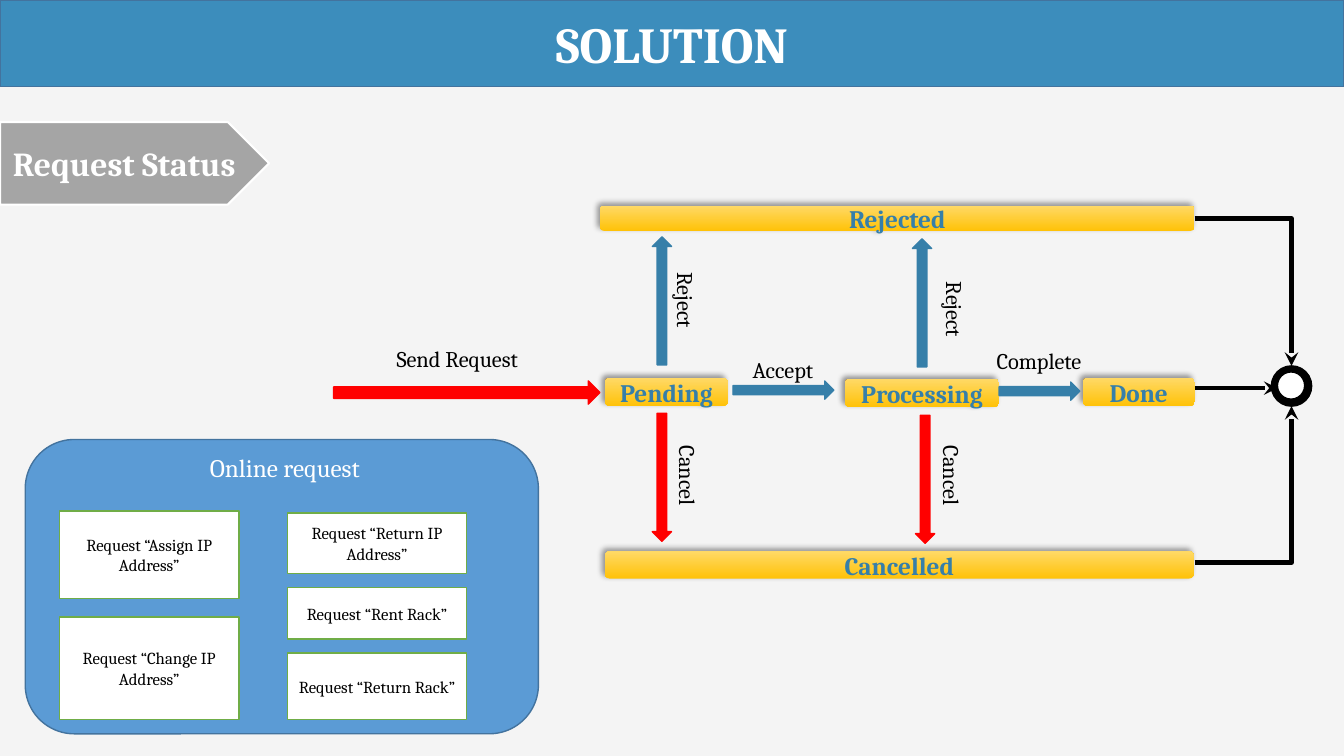
from dataclasses import dataclass
from lxml.etree import SubElement
from pptx import Presentation
from pptx.dml.color import RGBColor
from pptx.enum.shapes import MSO_CONNECTOR, MSO_SHAPE
from pptx.enum.text import MSO_ANCHOR, PP_ALIGN
from pptx.oxml import parse_xml
from pptx.oxml.ns import nsdecls, qn
from pptx.util import Inches, Pt


@dataclass(frozen=True)
class Theme:
    font: str = "Cambria"
    background: str = "F4F4F4"
    banner: str = "3C8DBC"
    outline: str = "43739E"
    panel: str = "5B9BD5"
    card_line: str = "70AD47"
    tag: str = "A5A5A5"
    blue: str = "367FA9"
    red: str = "FF0000"
    gold: str = "FFC208"
    light_gold: str = "FFD966"
    white: str = "FFFFFF"
    black: str = "000000"
    title_size: int = 36
    tag_size: int = 24
    heading_size: int = 18
    label_size: int = 16
    card_size: int = 12


theme = Theme()


def write_text(shape, text, size, color, bold=False, anchor=MSO_ANCHOR.MIDDLE, spacing=1.0):
    frame = shape.text_frame
    frame.word_wrap = True
    frame.vertical_anchor = anchor
    paragraph = frame.paragraphs[0]
    paragraph.text = text
    paragraph.alignment = PP_ALIGN.CENTER
    paragraph.line_spacing = spacing
    paragraph.font.name = theme.font
    paragraph.font.size = Pt(size)
    paragraph.font.bold = bold
    paragraph.font.color.rgb = RGBColor.from_string(color)


def add_block(kind, box, fill, line=None, line_width=1, rotation=0):
    shape = slide.shapes.add_shape(kind, *map(Inches, box))
    shape.shadow.inherit = False
    shape.rotation = rotation
    shape.fill.solid()
    shape.fill.fore_color.rgb = RGBColor.from_string(fill)
    if line:
        shape.line.color.rgb = RGBColor.from_string(line)
        shape.line.width = Pt(line_width)
    else:
        shape.line.fill.background()
    return shape


presentation = Presentation()
presentation.slide_width = Inches(13.33)
presentation.slide_height = Inches(7.5)
slide = presentation.slides.add_slide(presentation.slide_layouts[5])
slide.background.fill.solid()
slide.background.fill.fore_color.rgb = RGBColor.from_string(theme.background)

title = slide.shapes.title
title.left, title.top, title.width, title.height = map(Inches, (0, 0, 13.33, 0.86))
title.fill.solid()
title.fill.fore_color.rgb = RGBColor.from_string(theme.banner)
title.line.color.rgb = RGBColor.from_string(theme.outline)
title.line.width = Pt(1)
write_text(title, "SOLUTION", size=theme.title_size, color=theme.white, bold=True)

tag = add_block(MSO_SHAPE.PENTAGON, (0, 1.21, 2.67, 0.82), theme.tag, theme.white, 1.5)
write_text(tag, "Request Status", size=theme.tag_size, color=theme.white, bold=True)

add_block(MSO_SHAPE.ROUNDED_RECTANGLE, (0.25, 4.36, 5.09, 2.92), theme.panel, theme.outline)
heading = add_block(MSO_SHAPE.RECTANGLE, (0.9, 4.38, 3.85, 0.52), theme.panel)
write_text(heading, "Online request", size=theme.heading_size, color=theme.white)

request_cards = [
    ("Request “Assign IP Address”", 0.59, 5.07, 0.87),
    ("Request “Change IP Address”", 0.59, 6.12, 1.02),
    ("Request “Return IP Address”", 2.85, 5.09, 0.6),
    ("Request “Rent Rack”", 2.85, 5.83, 0.51),
    ("Request “Return Rack”", 2.85, 6.48, 0.66),
]
for text, left, top, height in request_cards:
    card = add_block(MSO_SHAPE.RECTANGLE, (left, top, 1.78, height), theme.white, theme.card_line)
    write_text(card, text, size=theme.card_size, color=theme.black)

statuses = [
    ("Pending", 6, 3.75, 1.22, 0.28),
    ("Cancelled", 6, 5.47, 5.84, 0.27),
    ("Rejected", 5.95, 2.04, 5.9, 0.25),
    ("Processing", 8.38, 3.76, 1.53, 0.28),
    ("Done", 10.74, 3.75, 1.11, 0.28),
]
for text, *box in statuses:
    status = add_block(MSO_SHAPE.ROUNDED_RECTANGLE, box, theme.gold)
    status.fill.gradient()
    status.fill.gradient_angle = 90
    for stop, color in zip(status.fill.gradient_stops, (theme.gold, theme.light_gold)):
        stop.color.rgb = RGBColor.from_string(color)
    effects = status.element.spPr.find(qn("a:effectLst"))
    effects.append(parse_xml(
        f'<a:outerShdw {nsdecls("a")} blurRad="{Pt(4)}" dist="{Pt(3)}" dir="13500000" '
        f'algn="br" rotWithShape="0"><a:srgbClr val="{theme.black}">'
        '<a:alpha val="40000"/></a:srgbClr></a:outerShdw>'
    ))
    write_text(status, text, size=theme.heading_size, color=theme.blue, bold=True)

flow_arrows = [
    ((3.31, 3.78, 2.64, 0.23), 0, theme.red),
    ((7.27, 3.78, 1, 0.18), 0, theme.blue),
    ((9.91, 3.79, 0.8, 0.18), 0, theme.blue),
    ((5.93, 2.89, 1.27, 0.19), 270, theme.blue),
    ((8.51, 2.91, 1.27, 0.19), 270, theme.blue),
    ((5.93, 4.64, 1.27, 0.19), 90, theme.red),
    ((8.54, 4.66, 1.27, 0.19), 90, theme.red),
]
for box, rotation, color in flow_arrows:
    add_block(MSO_SHAPE.RIGHT_ARROW, box, color, color, rotation=rotation)

flow_labels = [
    ("Accept", 6.93, 3.51, 0),
    ("Complete", 9.47, 3.43, 0),
    ("Send Request", 3.7, 3.41, 0),
    ("Cancel", 8.58, 4.54, 90),
    ("Cancel", 5.96, 4.54, 90),
    ("Reject", 5.94, 2.8, 90),
    ("Reject", 8.61, 2.89, 90),
]
for text, left, top, rotation in flow_labels:
    label = slide.shapes.add_textbox(*map(Inches, (left, top, 1.67, 0.36)))
    label.rotation = rotation
    write_text(label, text, size=theme.label_size, color=theme.black,
               anchor=MSO_ANCHOR.TOP, spacing=0.9)

add_block(MSO_SHAPE.OVAL, (12.61, 3.63, 0.4, 0.4), theme.black, theme.black)
add_block(MSO_SHAPE.OVAL, (12.67, 3.69, 0.27, 0.27), theme.white, theme.black)

end_routes = [
    (MSO_CONNECTOR.ELBOW, (11.85, 2.17, 12.81, 3.63)),
    (MSO_CONNECTOR.ELBOW, (11.85, 5.58, 12.81, 4.03)),
    (MSO_CONNECTOR.STRAIGHT, (11.85, 3.85, 12.67, 3.85)),
]
for kind, points in end_routes:
    route = slide.shapes.add_connector(kind, *map(Inches, points))
    route.line.color.rgb = RGBColor.from_string(theme.black)
    route.line.width = Pt(3.25)
    properties = route.element.spPr
    if kind == MSO_CONNECTOR.ELBOW:
        properties.find(qn("a:prstGeom")).set("prst", "bentConnector2")
    SubElement(properties.find(qn("a:ln")), qn("a:tailEnd"), type="stealth")
    SubElement(properties, qn("a:effectLst"))

presentation.save("out.pptx")
